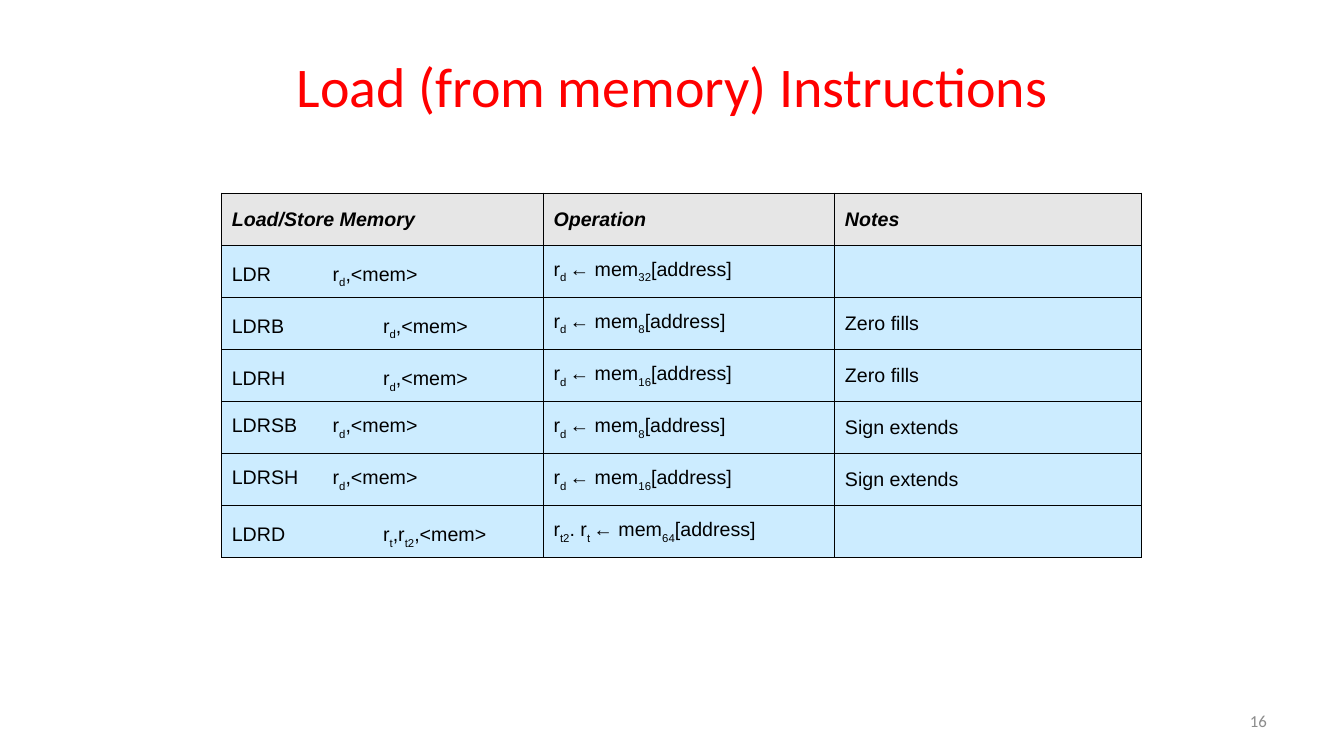
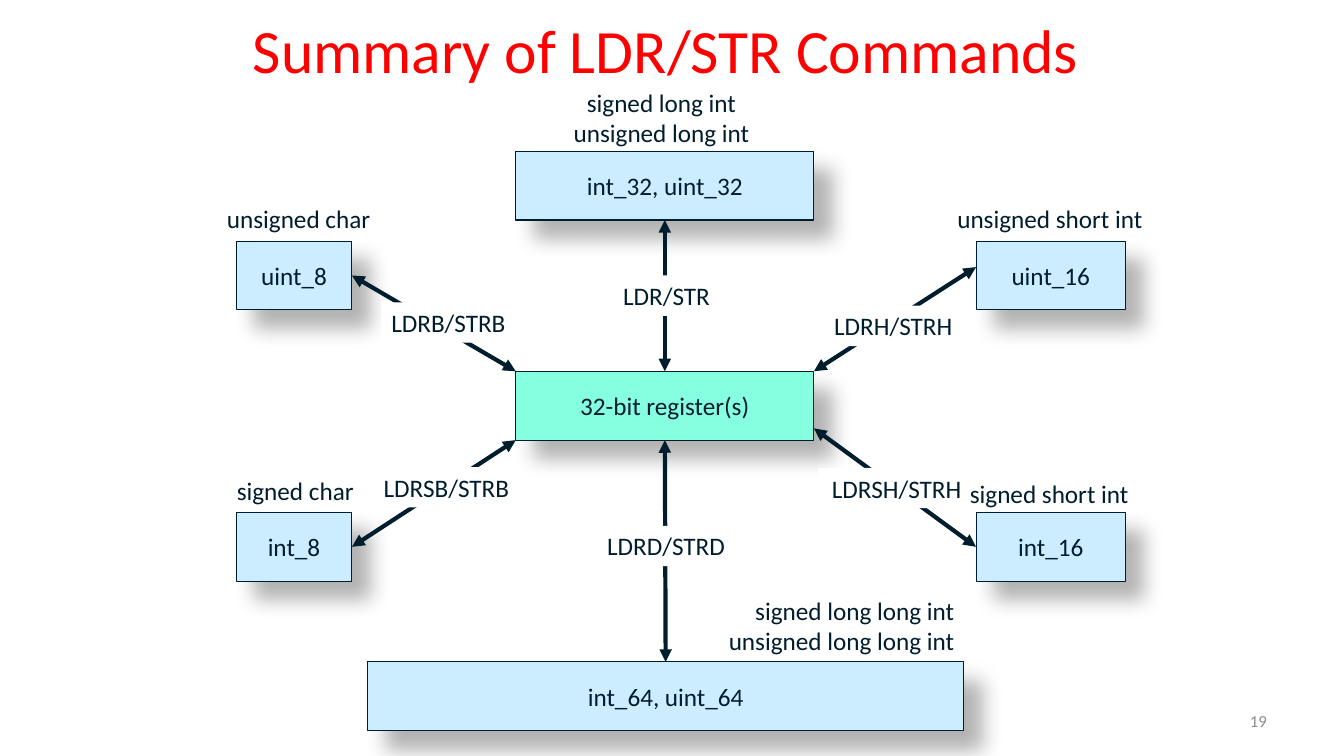
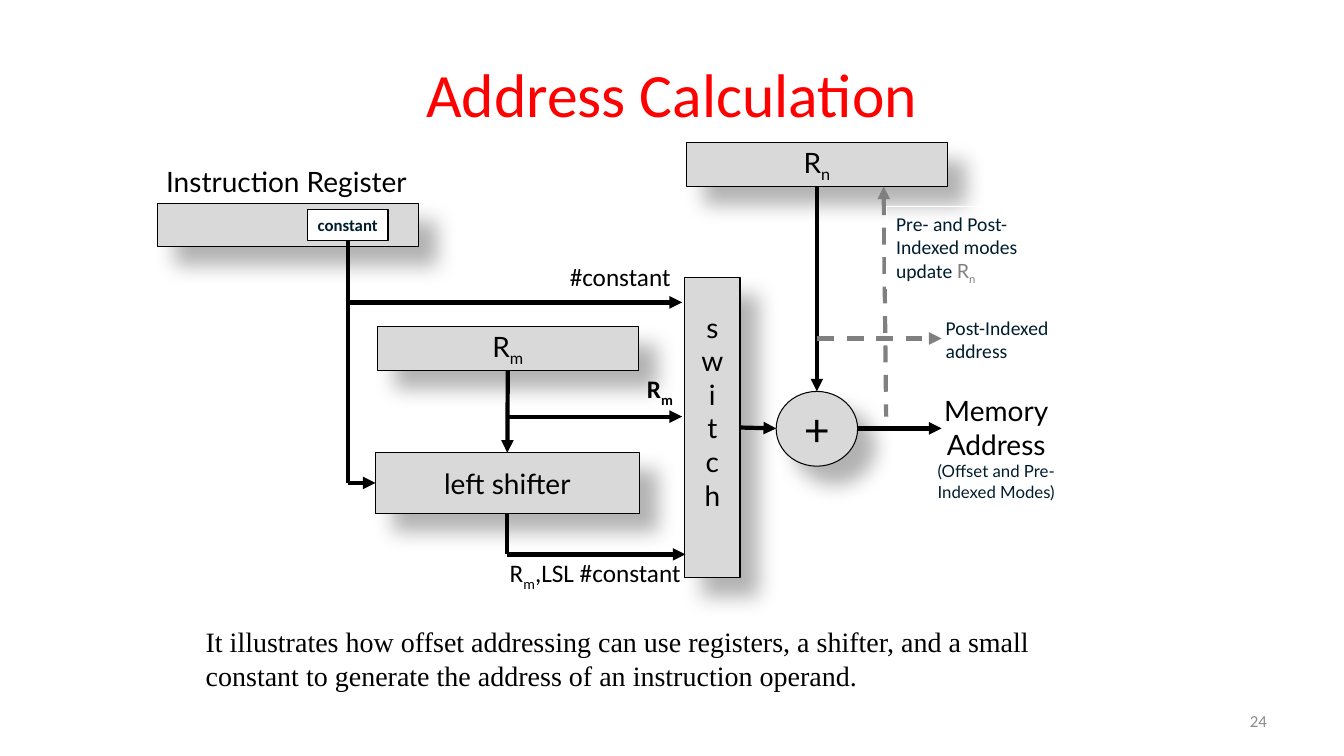
import lxml.etree
import pptx
import pptx.dml.color
import pptx.enum.dml
import pptx.enum.shapes
import pptx.enum.text
import pptx.oxml.ns
import pptx.util

# The slide is a grid of 160 columns by 90 rows of square cells.
COLUMNS, ROWS = 160, 90
CELL = pptx.util.Inches(7.5) // ROWS

RED, BLACK, WHITE, NAVY = "FF0000", "000000", "FFFFFF", "001D2E"
PALE_BLUE, MINT, SILVER, HEADER_GREY = "CCECFF", "85FFE0", "D9D9D9", "E6E6E6"
PAGE_GREY, DASH_GREY = "8C8C8C", "808080"
SANS, LATO, TABLE_FONT, SERIF = "Calibri", "Lato", "Arial", "Times New Roman"

LEFT = pptx.enum.text.PP_ALIGN.LEFT
CENTER = pptx.enum.text.PP_ALIGN.CENTER
RIGHT = pptx.enum.text.PP_ALIGN.RIGHT
TOP = pptx.enum.text.MSO_ANCHOR.TOP
MIDDLE = pptx.enum.text.MSO_ANCHOR.MIDDLE
RECTANGLE = pptx.enum.shapes.MSO_SHAPE.RECTANGLE
OVAL = pptx.enum.shapes.MSO_SHAPE.OVAL
SITE_TOP, SITE_LEFT, SITE_BOTTOM, SITE_RIGHT = range(4)


# ---- shared helpers ----

def cells(count):
    return pptx.util.Emu(round(count * CELL))


def paint(color_format, hex_color):
    color_format.rgb = pptx.dml.color.RGBColor.from_string(hex_color)


def fill_with(fill, hex_color):
    fill.solid()
    paint(fill.fore_color, hex_color)


def add_xml(parent, tag, **attributes):
    element = lxml.etree.SubElement(parent, pptx.oxml.ns.qn(tag))
    for name, value in attributes.items():
        element.set(name, str(value))
    return element


def set_font(font, size=None, name=None, color=None):
    if size:
        font.size = pptx.util.Pt(size)
    if name:
        font.name = name
    if color:
        paint(font.color, color)


def write(frame, paras, size=18, name=SANS, color=NAVY, align=LEFT,
          anchor=TOP, bold=None, italic=None, drop=25):
    """A para is a string or a list of spans; a span is a string or
    (text, size, font, colour). Text between tildes is subscript."""
    frame.word_wrap = True
    frame.vertical_anchor = anchor
    for index, spans in enumerate(paras):
        para = frame.paragraphs[0] if index == 0 else frame.add_paragraph()
        para.alignment = align
        set_font(para.font, size, name, color)
        para.font.bold, para.font.italic = bold, italic
        for span in [spans] if isinstance(spans, str) else spans:
            text, *style = (span,) if isinstance(span, str) else span
            for part, piece in enumerate(text.split("~")):
                if piece:
                    run = para.add_run()
                    run.text = piece
                    set_font(run.font, *style)
                    if part % 2:
                        run.font._element.set("baseline", str(-1000 * drop))


class Region:
    """A box on a page; its parts are placed in cells from its corner."""

    def __init__(self, page, left=0, top=0):
        self.page, self.left, self.top = page, left, top

    def place(self, left, top, width, height):
        return (cells(self.left + left), cells(self.top + top),
                cells(width), cells(height))

    def text(self, box, paras, **style):
        label = self.page.shapes.add_textbox(*self.place(*box))
        write(label.text_frame, paras, **style)
        return label

    def shape(self, box, paras=(), fill=None, line=None, shadow=False,
              kind=RECTANGLE, **style):
        shape = self.page.shapes.add_shape(kind, *self.place(*box))
        shape.shadow.inherit = False
        if fill:
            fill_with(shape.fill, fill)
        else:
            shape.fill.background()
        if line:
            paint(shape.line.color, line)
            shape.line.width = pptx.util.Pt(0.75)
        else:
            shape.line.fill.background()
        if shadow:
            effects = shape._element.spPr.find(pptx.oxml.ns.qn("a:effectLst"))
            outer = add_xml(effects, "a:outerShdw", blurRad=pptx.util.Pt(15),
                            dist=pptx.util.Pt(18), dir=45 * 60000,
                            algn="tl", rotWithShape=0)
            black = add_xml(outer, "a:srgbClr", val=BLACK)
            add_xml(black, "a:alpha", val=30000)
        write(shape.text_frame, paras, **style)
        return shape

    def line(self, start, end, color=BLACK, head=False, tail=True, dash=False):
        """An end is a point (column, row) or a joint (shape, site)."""
        joints = [isinstance(stop[0], (int, float)) for stop in (start, end)]
        points = [cells(origin + value) if is_point else 0
                  for stop, is_point in zip((start, end), joints)
                  for origin, value in zip((self.left, self.top),
                                           stop if is_point else (0, 0))]
        line = self.page.shapes.add_connector(
            pptx.enum.shapes.MSO_CONNECTOR.STRAIGHT, *points)
        if not joints[0]:
            line.begin_connect(*start)
        if not joints[1]:
            line.end_connect(*end)
        paint(line.line.color, color)
        line.line.width = pptx.util.Pt(3)
        if dash:
            line.line.dash_style = pptx.enum.dml.MSO_LINE.DASH
        outline = line.line._get_or_add_ln()
        if head:
            add_xml(outline, "a:headEnd", type="triangle")
        if tail:
            add_xml(outline, "a:tailEnd", type="triangle")
        add_xml(line._element.spPr, "a:effectLst")
        return line


def new_page(deck, title, box, number, size=44):
    page = deck.slides.add_slide(deck.slide_layouts.get_by_name("Title Only"))
    region = Region(page)
    heading = page.shapes.title
    heading.left, heading.top, heading.width, heading.height = region.place(*box)
    write(heading.text_frame, [title], size=size, color=RED, align=CENTER,
          anchor=MIDDLE)
    region.text((114.7, 83.4, 37.3, 4.8), [str(number)], size=12,
                color=PAGE_GREY, align=RIGHT, anchor=MIDDLE)
    return page


# ---- load instructions table ----

def fill_cell(cell, para, fill, heading):
    properties = cell._tc.get_or_add_tcPr()
    for side in ("a:lnL", "a:lnR", "a:lnT", "a:lnB"):
        border = add_xml(properties, side, w=pptx.util.Pt(1))
        add_xml(add_xml(border, "a:solidFill"), "a:srgbClr", val=BLACK)
    fill_with(cell.fill, fill)
    write(cell.text_frame, [para], size=14, name=TABLE_FONT, color=BLACK,
          bold=heading, italic=heading, drop=30)
    cell.vertical_anchor = MIDDLE


def load_table(page, left, top):
    widths, row_height = (38.3, 34.7, 36.5), 6.2
    wide_tab = ("\t", 20, LATO)
    operands = "r~d~,<mem>"
    rows = [("Load/Store Memory", "Operation", "Notes")]
    for name, bits, note in (("LDR ", 32, ""), ("LDRB", 8, "Zero fills"),
                             ("LDRH", 16, "Zero fills"),
                             ("LDRSB", 8, "Sign extends"),
                             ("LDRSH", 16, "Sign extends")):
        tabs = [] if len(name) > 4 else [wide_tab]
        rows.append(([name + "\t", *tabs, operands],
                     f"r~d ~← mem~{bits}~[address]", note))
    rows.append((["LDRD \t", wide_tab, "r~t~,r~t2~,<mem>"],
                 "r~t2~. r~t ~← mem~64~[address]", ""))

    place = Region(page, left, top).place(0, 0, sum(widths), row_height * len(rows))
    table = page.shapes.add_table(len(rows), len(widths), *place).table
    table.horz_banding = False
    for column, width in zip(table.columns, widths):
        column.width = cells(width)
    for index, row in enumerate(rows):
        table.rows[index].height = cells(row_height)
        for column, para in enumerate(row):
            fill_cell(table.cell(index, column), para,
                      PALE_BLUE if index else HEADER_GREY, index == 0)


# ---- register and memory types diagram ----

def command_diagram(page, left, top):
    region = Region(page, left, top)
    box_height, label_height = 8.2, 4.8

    # Register and memory boxes
    def memory(column, row, width, text, fill=PALE_BLUE):
        return region.shape((column, row, width, box_height), [text], fill=fill,
                            line=NAVY, shadow=True, align=CENTER, anchor=MIDDLE)

    reg_left, reg_top, reg_width = 38.4, 35.2, 35.5
    reg_right, reg_bottom = reg_left + reg_width, reg_top + box_height
    outer_left, outer_right, upper, lower = 5.1, 93.2, 19.7, 52
    register = memory(reg_left, reg_top, reg_width, "32-bit register(s)", MINT)
    int_32 = memory(reg_left, 9, reg_width, "int_32, uint_32")
    int_64 = memory(20.8, 69.8, 70.9, "int_64, uint_64")
    memory(outer_right, upper, 17.8, "uint_16")
    uint_8 = memory(outer_left, upper, 13.8, "uint_8")
    int_8 = memory(outer_left, lower, 13.8, "int_8")
    int_16 = memory(outer_right, lower, 17.8, "int_16")

    # Two-way arrows
    for start, end in (
            ((reg_left, reg_bottom), (int_8, SITE_RIGHT)),
            ((reg_left, reg_top), (uint_8, SITE_RIGHT)),
            ((outer_right, 22.8), (reg_right, reg_top)),
            ((reg_right, 42), (int_16, SITE_LEFT)),
            ((int_32, SITE_BOTTOM), (register, SITE_TOP)),
            ((register, SITE_BOTTOM), (int_64, SITE_TOP))):
        region.line(start, end, NAVY, head=True)

    # Commands on the arrows
    for text, column, row, width, align in (
            ("LDRB/STRB", 22.4, 27, 17.4, LEFT),
            ("LDRSB/STRB", 20.9, 46.6, 17.9, RIGHT),
            ("LDRH/STRH", 74.4, 27.4, 17.9, CENTER),
            ("LDRSH/STRH", 74.4, 46.7, 18.7, CENTER),
            ("LDR/STR", 48.3, 23.8, 16.1, CENTER),
            ("LDRD/STRD", 46.6, 53.6, 19.4, CENTER)):
        region.shape((column, row, width, label_height), [text], fill=WHITE,
                     align=align)

    # Type names
    for paras, column, row, width, align in (
            (["unsigned char"], 0.6, 14.6, 23.9, CENTER),
            (["signed char"], 2.6, 47, 19.1, CENTER),
            (["unsigned short int"], 88.7, 14.6, 26.6, CENTER),
            (["signed short int"], 90.8, 47.3, 22.2, CENTER),
            (["signed long int", "unsigned long int"], 37.7, 0.8, 36.1, CENTER),
            (["signed long long int", "unsigned long long int"],
             55.7, 61.3, 36.1, RIGHT)):
        region.text((column, row, width, label_height), paras, align=align)


# ---- address calculation diagram ----

def address_diagram(page, left, top):
    region = Region(page, left, top)
    reg_width, reg_height = 31.1, 5.2

    # Registers and units
    def unit(box, paras, size=20, kind=RECTANGLE):
        return region.shape(box, paras, fill=SILVER, line=BLACK, shadow=True,
                            kind=kind, size=size, name=LATO, color=BLACK,
                            align=CENTER, anchor=MIDDLE)

    base = unit((63.7, 1, reg_width, reg_height), ["R~n~"])
    adder = unit((74.4, 30.6, 9.7, 8.9), ["+"], size=32, kind=OVAL)
    switch = unit((63.5, 17, 6.6, 35.8), list("switch"))
    switch.text_frame.margin_bottom = pptx.util.Inches(0.38)
    offset = unit((26.9, 22.9, reg_width, reg_height), ["R~m~"])
    shifter = unit((26.7, 37.9, 31.4, 7.2), ["left shifter"])
    unit((0.7, 8.2, reg_width, reg_height), [])
    constant = region.shape((18.6, 9, 9.6, 3.6), ["constant"], fill=WHITE,
                            line=BLACK, size=12, bold=True, align=CENTER)

    # Data paths
    constant_bus, offset_bus, switch_edge = 23.4, 42.4, 63.2
    sum_row, shift_row, result_row, memory_edge = 35, 41.5, 50, 94.1
    region.line((constant, SITE_BOTTOM), (constant_bus, shift_row), tail=False)
    region.line((constant_bus, 20), (switch_edge, 20))
    region.line((constant_bus, shift_row), (shifter, SITE_LEFT))
    region.line((offset, SITE_BOTTOM), (shifter, SITE_TOP))
    region.line((offset_bus, 33.6), (switch_edge, 33.6))
    region.line((shifter, SITE_BOTTOM), (offset_bus, result_row), tail=False)
    region.line((offset_bus, result_row), (63.6, result_row))
    region.line((switch, SITE_RIGHT), (74.4, sum_row))
    region.line((base, SITE_BOTTOM), (adder, SITE_TOP))
    region.line((84.1, sum_row), (memory_edge, sum_row))
    region.line((87.2, 6.2), (87.5, 33.6), DASH_GREY, head=True, tail=False,
                dash=True)
    region.line((79.3, 24.3), (memory_edge, 24.3), DASH_GREY, dash=True)

    # Labels
    region.text((0.6, 3, 37.7, 5.2), ["Instruction Register"], size=20,
                name=LATO, color=BLACK)
    for text, box, bold in (("#constant", (40.1, 14.5, 22.9, 4.8), None),
                            ("R~m~", (40.4, 27.9, 22.9, 4.8), True),
                            ("R~m~,LSL #constant", (28.7, 49.8, 35.5, 4.8), None)):
        region.text(box, [text], color=BLACK, align=RIGHT, bold=bold)
    region.text((90.7, 30.3, 19.8, 14.2),
                ["Memory", "Address", [("(Offset and Pre-Indexed Modes)", 12, LATO, NAVY)]],
                size=20, name=LATO, color=BLACK, align=CENTER)
    region.shape((87.5, 8.6, 21.7, 9.7),
                 [["Pre- and Post-Indexed modes update ", ("R~n~", 14, LATO, DASH_GREY)]],
                 line=WHITE, size=14)
    region.text((93.4, 21, 21.7, 6.8), ["Post-Indexed address"], size=14)


def main():
    deck = pptx.Presentation()
    deck.slide_width, deck.slide_height = cells(COLUMNS), cells(ROWS)

    page = new_page(deck, "Load (from memory) Instructions",
                    (29, 2.6, 102, 15), 16, size=40)
    load_table(page, 26.4, 23)

    page = new_page(deck, "Summary of LDR/STR Commands", (7.3, -1.7, 144, 15), 19)
    command_diagram(page, 23, 9)

    page = new_page(deck, "Address Calculation", (8, 3.6, 144, 15), 24)
    address_diagram(page, 18, 16)
    Region(page).text(
        (23.3, 73.8, 112.2, 9.2),
        ["It illustrates how offset addressing can use registers, a shifter, "
         "and a small constant to generate the address of an instruction operand."],
        size=20, name=SERIF, color=BLACK)

    deck.save("out.pptx")


if __name__ == "__main__":
    main()
